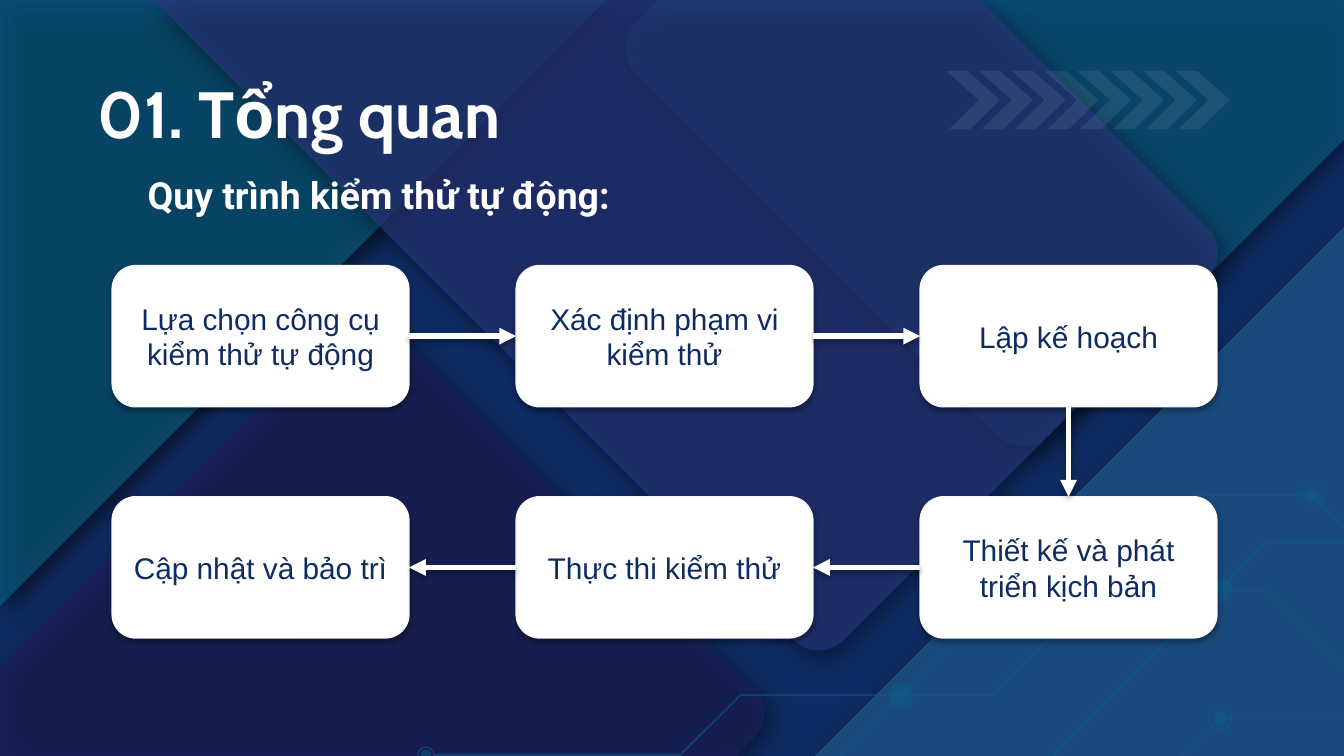
from dataclasses import dataclass
from itertools import pairwise
from math import hypot

from lxml import etree
from pptx import Presentation
from pptx import util as u
from pptx.dml.color import RGBColor
from pptx.enum import shapes as kinds, text
from pptx.oxml import ns


@dataclass(frozen=True)
class Theme:
    navy: str = "0E2C63"
    violet: str = "1D215B"
    teal: str = "0A5F85"
    indigo: str = "2A377F"
    steel: str = "2D6386"
    blue: str = "154378"
    white: str = "FFFFFF"
    edge: str = "F9F9F9"
    title_font: str = "Cabin"
    subtitle_font: str = "Roboto"
    body_font: str = "Arial"
    title_size: int = 35
    subtitle_size: int = 20
    body_size: int = 16
    # blur pt, distance pt, angle, opacity %
    deep_shadow: tuple = (13.5, 4.5, 55, 66)
    soft_shadow: tuple = (3.1, 1.8, 90, 35)


@dataclass(frozen=True)
class Box:
    """An area of the slide, in centimetres."""
    left: float
    top: float
    width: float
    height: float

    def lengths(self):
        return [u.Cm(n) for n in (self.left, self.top, self.width, self.height)]


THEME = Theme()
SLIDE = Box(0, 0, 25.4, 14.29)
CORNER = 0.66

STEPS = (
    ("Lựa chọn công cụ kiểm thử tự động", 0, 0),
    ("Xác định phạm vi kiểm thử", 1, 0),
    ("Lập kế hoạch", 2, 0),
    ("Thiết kế và phát triển kịch bản", 2, 1),
    ("Thực thi kiểm thử", 1, 1),
    ("Cập nhật và bảo trì", 0, 1),
)


# --- Formatting helpers ---
def paint(color_format, color, opacity=100):
    """Set a solid fill, with transparency where wanted."""
    color_format.solid()
    color_format.fore_color.rgb = RGBColor.from_string(color)
    if opacity < 100:
        for node in color_format._xPr.iter(ns.qn("a:srgbClr")):
            etree.SubElement(node, ns.qn("a:alpha"), val=str(opacity * 1000))


def cast_shadow(shape, shadow):
    blur, distance, angle, opacity = shadow
    properties = shape.element.spPr
    effects = properties.find(ns.qn("a:effectLst"))
    if effects is None:
        effects = etree.SubElement(properties, ns.qn("a:effectLst"))
    outer = etree.SubElement(
        effects, ns.qn("a:outerShdw"), blurRad=str(u.Pt(blur)), dist=str(u.Pt(distance)),
        dir=str(angle * 60000), algn="bl", rotWithShape="0")
    color = etree.SubElement(outer, ns.qn("a:srgbClr"), val="000000")
    etree.SubElement(color, ns.qn("a:alpha"), val=str(opacity * 1000))


def write(para, words, font, size, color, bold=False):
    span = para.add_run()
    span.text = words
    span.font.name = font
    span.font.size = u.Pt(size)
    span.font.bold = bold
    span.font.color.rgb = RGBColor.from_string(color)


def outline(group, box, points, closed=True):
    """Draw an outline through points relative to the box."""
    spots = [(u.Cm(box.left + x), u.Cm(box.top + y)) for x, y in points]
    builder = group.shapes.build_freeform(*spots[0])
    builder.add_line_segments(spots[1:], close=closed)
    shape = builder.convert_to_shape()
    shape.shadow.inherit = False
    return shape


def round_corners(points, steps=10):
    """Replace each point marked True by a curve."""
    result = []
    for index, (x, y, is_round) in enumerate(points):
        if not is_round:
            result.append((x, y))
            continue
        ends = []
        for other in (points[index - 1], points[(index + 1) % len(points)]):
            ratio = CORNER / hypot(other[0] - x, other[1] - y)
            ends.append((x + (other[0] - x) * ratio, y + (other[1] - y) * ratio))
        start, end = ends
        for step in range(steps + 1):
            t = step / steps
            near, far = (1 - t) ** 2 * (1 + 0.35 * t), t ** 2 * (1 + 0.35 * (1 - t))
            result.append(tuple(c + (a - c) * near + (b - c) * far
                                for a, b, c in zip(start, end, (x, y))))
    return result


# --- Regions ---
def add_panels(page, box):
    """Large overlapping diagonal panels."""
    right, bottom = box.width, box.height
    triangle = [(15.4, bottom, False), (right, 4.29, False), (right, bottom, False)]
    panels = (
        (THEME.violet, 70, [(0, 12.6, False), (6.92, 5.68, True), (14.72, 13.48, True),
                            (13.91, bottom, False), (0, bottom, False)]),
        (THEME.teal, 66, [(0, 0, False), (11.46, 0, False), (0, 11.46, False)]),
        (THEME.teal, 63, [(12.45, 0, False), (11.54, 0.9, True), (19.33, 8.71, True),
                          (right, 2.64, False), (right, 0, False)]),
        (THEME.indigo, 63, [(2.9, 0, False), (15.47, 12.57, True), (23.29, 4.78, True),
                            (18.52, 0, False)]),
        (THEME.steel, 100, triangle),
        (THEME.blue, 77, triangle),
    )
    group = page.shapes.add_group_shape()
    for color, opacity, points in panels:
        panel = outline(group, box, round_corners(points))
        paint(panel.fill, color, opacity)
        panel.line.fill.background()
        if color != THEME.blue:
            cast_shadow(panel, THEME.deep_shadow)


def add_circuit(page, box):
    """Thin traces ending in rings and discs."""
    right, bottom = box.width, box.height
    traces = (
        (0.75, [(22.35, bottom), (23.06, 13.58), (right, 13.58)]),
        (1.5, [(19.91, bottom), (23.94, 10.26), (right, 10.26)]),
        (1, [(15.88, bottom), (19.01, 11.16), (23.94, 11.16), (right, 12.62)]),
        (1, [(8.2, 14.27), (12.86, 14.27), (13.99, 13.14), (18.75, 13.14),
             (22.53, 9.36), (24.8, 9.36), (right, 9.96)]),
    )
    # centre x, centre y, diameter, is a ring
    nodes = ((24.8, 9.36, 0.42, True), (24.8, 9.36, 0.28, False),
             (23.06, 13.58, 0.42, True), (23.06, 13.58, 0.28, False),
             (8.05, 14.27, 0.3, True), (8.05, 14.27, 0.2, False),
             (17.02, 13.16, 0.46, False), (23.06, 11.15, 0.46, False))
    group = page.shapes.add_group_shape()
    for width, points in traces:
        trace = outline(group, box, points, closed=False)
        trace.fill.background()
        paint(trace.line.fill, THEME.teal, 50)
        trace.line.width = u.Pt(width)
    for x, y, size, is_ring in nodes:
        area = Box(box.left + x - size / 2, box.top + y - size / 2, size, size)
        node = group.shapes.add_shape(kinds.MSO_SHAPE.OVAL, *area.lengths())
        node.shadow.inherit = False
        drawn, empty = (node.line.fill, node.fill) if is_ring else (node.fill, node.line.fill)
        paint(drawn, THEME.teal, 50)
        empty.background()
        if is_ring:
            node.line.width = u.Pt(0.75)


def add_chevrons(page, box, count=8, pitch=0.62):
    """A row of faint chevrons."""
    width, height = box.width - pitch * (count - 1), box.height
    points = [(0, 0), (pitch, height / 2), (0.06, height), (0.46, height),
              (width, height / 2), (0.4, 0)]
    group = page.shapes.add_group_shape()
    for index in range(count):
        chevron = outline(group, box, [(x + index * pitch, y) for x, y in points])
        paint(chevron.fill, THEME.white, 8)
        chevron.line.fill.background()


def add_heading(shape, box, words, font, size):
    """Place a bold white heading in a placeholder or text box."""
    shape.left, shape.top, shape.width, shape.height = box.lengths()
    frame = shape.text_frame
    frame.word_wrap = True
    frame.auto_size = text.MSO_AUTO_SIZE.NONE
    frame.vertical_anchor = text.MSO_ANCHOR.TOP
    frame.margin_left = frame.margin_right = u.Cm(0.25)
    frame.margin_top = frame.margin_bottom = u.Cm(0.25)
    para = frame.paragraphs[0]
    para.alignment = text.PP_ALIGN.LEFT
    write(para, words, font, size, THEME.white, bold=True)


def add_step(page, box, words):
    step = page.shapes.add_shape(kinds.MSO_SHAPE.ROUNDED_RECTANGLE, *box.lengths())
    step.shadow.inherit = False
    paint(step.fill, THEME.white)
    paint(step.line.fill, THEME.edge)
    step.line.width = u.Pt(0.75)
    cast_shadow(step, THEME.soft_shadow)
    step.text_frame.vertical_anchor = text.MSO_ANCHOR.MIDDLE
    para = step.text_frame.paragraphs[0]
    para.alignment = text.PP_ALIGN.CENTER
    write(para, words, THEME.body_font, THEME.body_size, THEME.navy)
    return step


def add_arrow(page, source, target, sites):
    arrow = page.shapes.add_connector(kinds.MSO_CONNECTOR.STRAIGHT, 0, 0, 0, 0)
    arrow.begin_connect(source, sites[0])
    arrow.end_connect(target, sites[1])
    paint(arrow.line.fill, THEME.white)
    arrow.line.width = u.Pt(3)
    etree.SubElement(arrow.line._ln, ns.qn("a:tailEnd"), type="triangle")
    cast_shadow(arrow, THEME.soft_shadow)


def add_flow(page, box, width=5.61, height=2.67):
    """Six steps: left to right, down, then back."""
    across, down = (box.width - width) / 2, box.height - height
    steps = [(add_step(page, Box(box.left + column * across, box.top + row * down,
                                 width, height), words), column, row)
             for words, column, row in STEPS]
    top, left, bottom, right = range(4)
    for (source, column, row), (target, next_column, next_row) in pairwise(steps):
        if row != next_row:
            sites = bottom, top
        else:
            sites = (right, left) if next_column > column else (left, right)
        add_arrow(page, source, target, sites)


def build_process_slide(deck, box):
    page = deck.slides.add_slide(deck.slide_layouts[5])
    paint(page.background.fill, THEME.navy)
    add_panels(page, box)
    # Bring the title in front of the panels
    title = page.shapes.title
    title.element.getparent().append(title.element)
    add_heading(title, Box(1.6, 1.14, 21.41, 1.6), "01. Tổng quan",
                THEME.title_font, THEME.title_size)
    area = Box(2.54, 3, 20.96, 1.83)
    add_heading(page.shapes.add_textbox(*area.lengths()), area,
                "Quy trình kiểm thử tự động:", THEME.subtitle_font, THEME.subtitle_size)
    add_circuit(page, box)
    add_chevrons(page, Box(17.88, 1.34, 5.36, 1.1))
    add_flow(page, Box(2.12, 5.02, 20.88, 7.04))


def main():
    deck = Presentation()
    deck.slide_width, deck.slide_height = u.Cm(SLIDE.width), u.Cm(SLIDE.height)
    build_process_slide(deck, SLIDE)
    deck.save("out.pptx")


if __name__ == "__main__":
    main()
